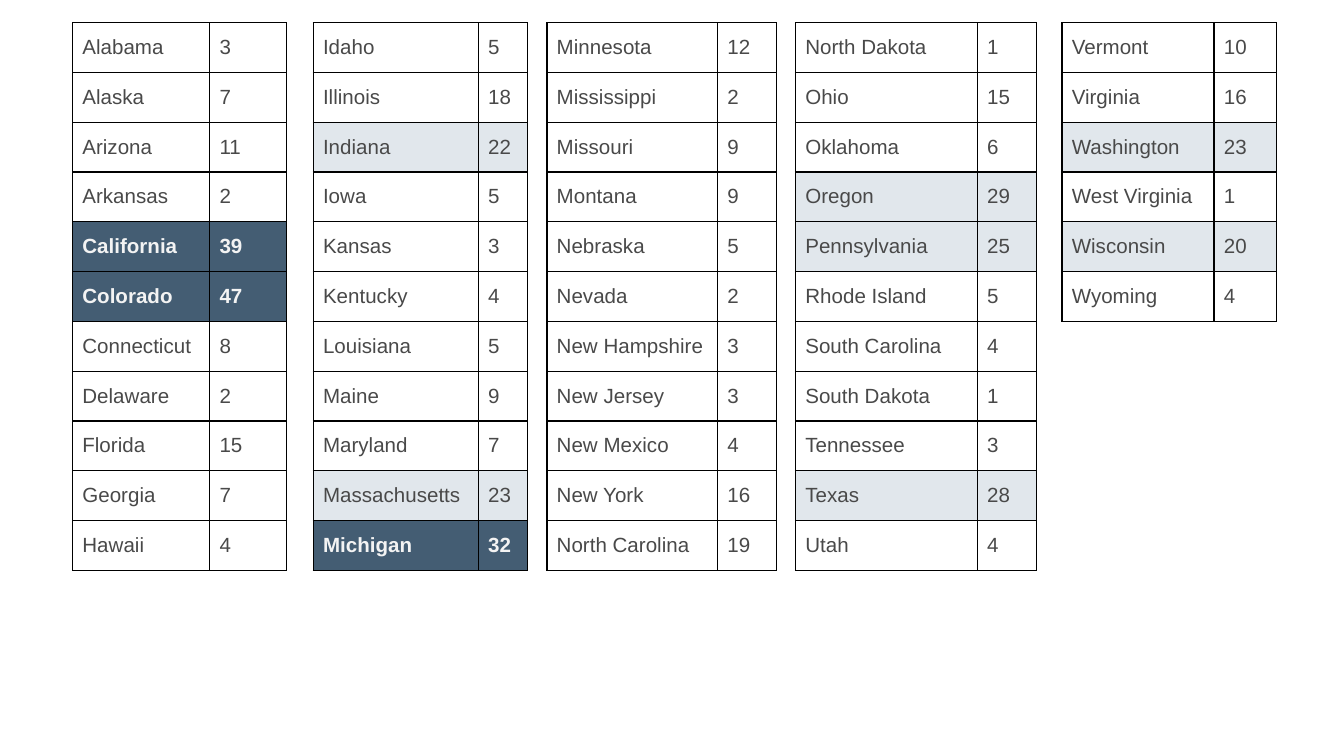
from dataclasses import dataclass

from lxml.etree import SubElement
from pptx import Presentation
from pptx.dml.color import RGBColor as Color
from pptx.enum.text import MSO_ANCHOR as Anchor, PP_ALIGN as Align
from pptx.oxml.ns import qn
from pptx.util import Pt

TABLES = [
    (38.9, (73.5, 41.3), [
        ("Alabama", 3), ("Alaska", 7), ("Arizona", 11), ("Arkansas", 2),
        ("California", 39), ("Colorado", 47), ("Connecticut", 8),
        ("Delaware", 2), ("Florida", 15), ("Georgia", 7), ("Hawaii", 4),
    ]),
    (167.8, (88.5, 26.5), [
        ("Idaho", 5), ("Illinois", 18), ("Indiana", 22), ("Iowa", 5),
        ("Kansas", 3), ("Kentucky", 4), ("Louisiana", 5), ("Maine", 9),
        ("Maryland", 7), ("Massachusetts", 23), ("Michigan", 32),
    ]),
    (293, (91.5, 31.5), [
        ("Minnesota", 12), ("Mississippi", 2), ("Missouri", 9),
        ("Montana", 9), ("Nebraska", 5), ("Nevada", 2),
        ("New Hampshire", 3), ("New Jersey", 3), ("New Mexico", 4),
        ("New York", 16), ("North Carolina", 19),
    ]),
    (426.2, (97.4, 31.6), [
        ("North Dakota", 1), ("Ohio", 15), ("Oklahoma", 6), ("Oregon", 29),
        ("Pennsylvania", 25), ("Rhode Island", 5), ("South Carolina", 4),
        ("South Dakota", 1), ("Tennessee", 3), ("Texas", 28), ("Utah", 4),
    ]),
    (568.9, (81.5, 33.3), [
        ("Vermont", 10), ("Virginia", 16), ("Washington", 23),
        ("West Virginia", 1), ("Wisconsin", 20), ("Wyoming", 4),
    ]),
]
TOP, ROW_HEIGHT = 12.1, 26.6
LIGHT_FROM, DARK_FROM = 20, 30


@dataclass(frozen=True)
class Theme:
    font: str = "Arial"
    size: float = 11
    text: str = "494949"
    text_on_dark: str = "F3F3F3"
    plain: str = "FFFFFF"
    light: str = "E1E7EC"
    dark: str = "445D73"
    border: str = "000000"
    border_width: float = 0.75
    margin_x: float = 5.25
    margin_y: float = 7.2


THEME = Theme()


def row_style(count):
    if count >= DARK_FROM:
        return THEME.dark, THEME.text_on_dark, True
    return (THEME.light if count >= LIGHT_FROM else THEME.plain), THEME.text, False


def add_borders(cell):
    properties = cell._tc.get_or_add_tcPr()
    for side in ("lnL", "lnR", "lnT", "lnB"):
        line = SubElement(properties, qn(f"a:{side}"), w=str(Pt(THEME.border_width)))
        fill = SubElement(line, qn("a:solidFill"))
        SubElement(fill, qn("a:srgbClr"), val=THEME.border)


def fill_cell(cell, value, style):
    background, text_color, bold = style
    add_borders(cell)
    cell.fill.solid()
    cell.fill.fore_color.rgb = Color.from_string(background)
    cell.margin_left = cell.margin_right = Pt(THEME.margin_x)
    cell.margin_top = cell.margin_bottom = Pt(THEME.margin_y)
    cell.vertical_anchor = Anchor.TOP
    para = cell.text_frame.paragraphs[0]
    para.text = str(value)
    para.alignment = Align.JUSTIFY
    font = para.runs[0].font
    font.name, font.size, font.bold = THEME.font, Pt(THEME.size), bold
    font.color.rgb = Color.from_string(text_color)


def add_state_table(slide, left, widths, states):
    frame = slide.shapes.add_table(
        len(states), len(widths), Pt(left), Pt(TOP),
        Pt(sum(widths)), Pt(ROW_HEIGHT * len(states)))
    table = frame.table
    table.first_row = table.horz_banding = False
    for column, width in zip(table.columns, widths):
        column.width = Pt(width)
    for row, state in zip(table.rows, states):
        row.height = Pt(ROW_HEIGHT)
        for cell, value in zip(row.cells, state):
            fill_cell(cell, value, row_style(state[1]))


def main():
    deck = Presentation()
    deck.slide_width, deck.slide_height = Pt(720), Pt(405)
    slide = deck.slides.add_slide(deck.slide_layouts.get_by_name("Blank"))
    for left, widths, states in TABLES:
        add_state_table(slide, left, widths, states)
    deck.save("out.pptx")


if __name__ == "__main__":
    main()
